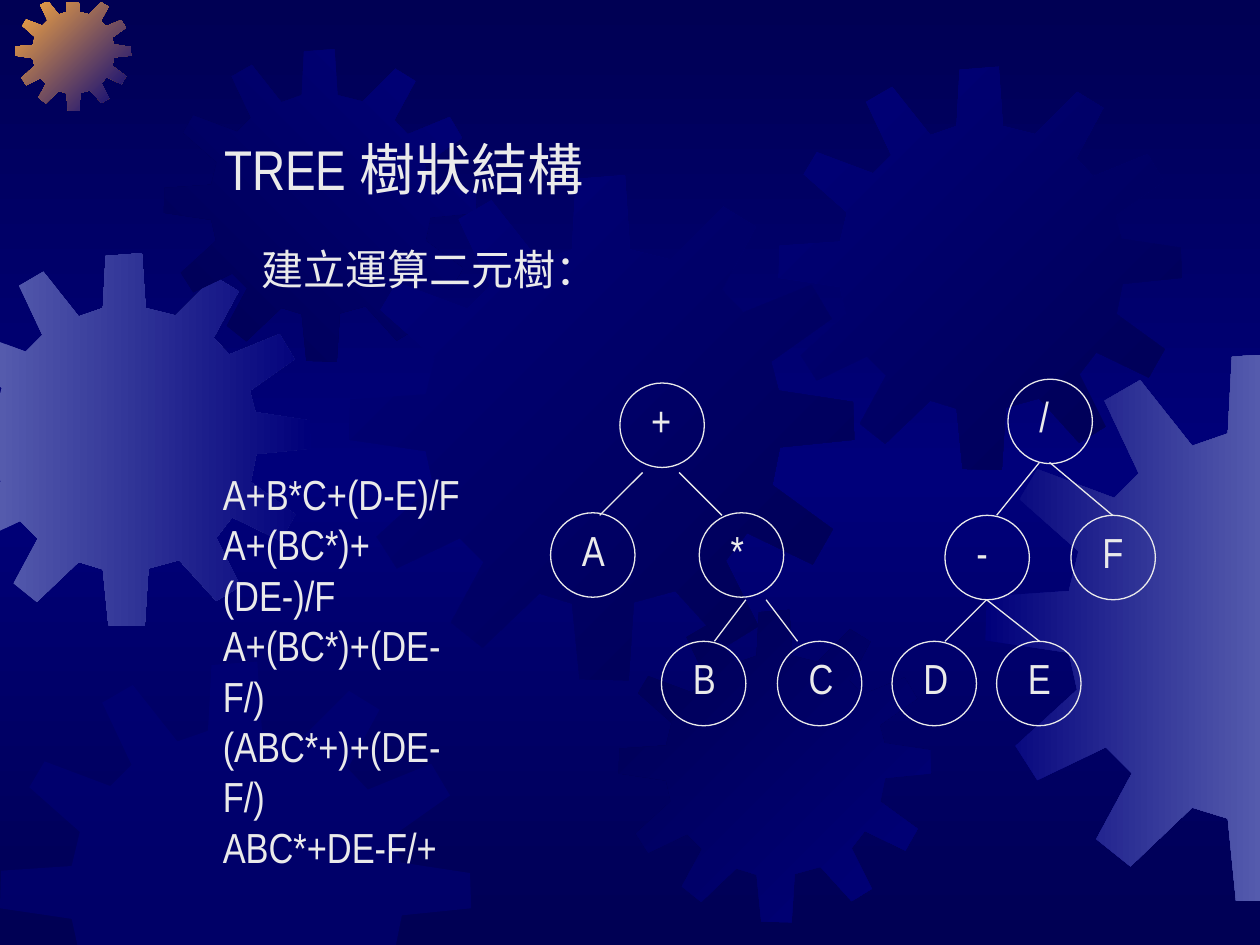
"""Build a slide of two expression trees over a backdrop of gears."""
import copy

import pptx
import pptx.dml.color
import pptx.enum.shapes
import pptx.enum.text
import pptx.oxml
import pptx.oxml.ns
import pptx.util

Inches = pptx.util.Inches
RGBColor = pptx.dml.color.RGBColor

NAVY = RGBColor(0x00, 0x00, 0x54)
BLUE = RGBColor(0x00, 0x00, 0x7A)
LILAC = RGBColor(0x55, 0x5B, 0xAD)
AMBER = RGBColor(0xFC, 0xAB, 0x40)
PALE = RGBColor(0xEA, 0xEA, 0xEA)

SIZE = 0.67
SPAN = 401
TEETH = [
    (255, 67), (223, 59), (219, 0), (180, 3), (177, 59), (151, 68),
    (113, 20), (87, 35), (112, 88), (94, 106), (38, 85), (25, 107),
    (68, 145), (61, 174), (1, 178), (0, 210), (61, 219), (67, 246),
    (22, 287), (38, 312), (88, 288), (107, 307), (81, 355), (106, 375),
    (151, 332), (177, 340), (183, 400), (222, 401), (226, 339), (259, 330),
    (299, 374), (325, 358), (299, 306), (316, 284), (368, 309), (384, 281),
    (336, 246), (342, 216), (401, 210), (400, 180), (341, 171), (335, 148),
    (383, 114), (367, 87), (313, 109), (296, 91), (323, 41), (297, 25),
]
EDGES = [(0, -0.01, 1), (1, 0.02, 1), (0, 10.01, -1), (1, 7.54, -1)]

GEARS = [
    (-0.49, 2.01, 2.96, (LILAC, BLUE), 0),
    (0.12, -0.04, 0.92, (AMBER, BLUE), 45),
    (1.3, 0.39, 2.48, (NAVY, BLUE), 315),
    (2.77, 1.39, 4.01, (BLUE, NAVY), 45),
    (0, 5.25, 3.74, (BLUE,), 0),
    (4.91, 4.84, 2.48, (NAVY, BLUE), 45),
    (6.18, 0.53, 3.2, (BLUE, NAVY), 45),
    (7.82, 2.8, 4.36, (BLUE, LILAC), 0),
]
TEXTS = [
    (1.68, 1.02, 3.16, 0.64, 32, ["TREE 樹狀結構"]),
    (1.67, 3.67, 2.26, 2.1, 24, [
        "A+B*C+(D-E)/F", "A+(BC*)+(DE-)/F", "A+(BC*)+(DE-F/)",
        "(ABC*+)+(DE-F/)", "ABC*+DE-F/+"]),
    (1.98, 1.88, 2.86, 0.5, 24, ["建立運算二元樹："]),
]
NODES = [
    ("D", 7.08, 5.09, 0.39), ("E", 7.91, 5.09, 0.38),
    ("F", 8.5, 4.09, 0.36), ("-", 7.5, 4.09, 0.29), ("/", 8, 3.01, 0.27),
    ("C", 6.17, 5.09, 0.39), ("B", 5.25, 5.09, 0.38),
    ("*", 5.55, 4.07, 0.3), ("A", 4.37, 4.07, 0.38), ("+", 4.92, 3.04, 0.36),
]
LINKS = [
    (7.83, 4.76, 7.5, 5.09), (7.83, 4.76, 8.25, 5.09),
    (8.25, 3.67, 7.91, 4.09), (8.33, 3.67, 8.83, 4.09),
    (5.92, 4.76, 5.67, 5.09), (6.08, 4.76, 6.33, 5.09),
    (5.1, 3.75, 4.76, 4.09), (5.39, 3.75, 5.73, 4.09),
]
FRAME = {
    "word_wrap": False,
    "auto_size": pptx.enum.text.MSO_AUTO_SIZE.SHAPE_TO_FIT_TEXT,
    "margin_left": Inches(0.1), "margin_right": Inches(0.1),
    "margin_top": Inches(0.05), "margin_bottom": Inches(0.05),
}


def apply(item, props):
    """Set each named value on the item."""
    for name, value in props.items():
        setattr(item, name, value)


def blend(fill, tones, angle):
    """Give a fill a gradient with a clockwise angle."""
    fill.gradient()
    fill.gradient_angle = -angle % 360
    for stop, tone in zip(fill.gradient_stops, tones):
        stop.color.rgb = tone


def paint_back(slide):
    """Shade the background from dark to light to dark."""
    blend(slide.background.fill, (NAVY, BLUE), 90)
    stops = slide.element.find(".//" + pptx.oxml.ns.qn("a:gsLst"))
    stops[1].set("pos", "50000")
    last = copy.deepcopy(stops[0])
    last.set("pos", "100000")
    stops.append(last)


def trim(points, axis, bound, sign):
    """Cut an outline along one edge of the slide."""
    kept = []
    for start, end in zip(points[-1:] + points[:-1], points):
        near, far = (sign * (p[axis] - bound) for p in (start, end))
        if near * far < 0:
            part = near / (near - far)
            kept.append(tuple(a + part * (b - a) for a, b in zip(start, end)))
        if far >= 0:
            kept.append(end)
    return kept


def add_gear(slide, left, top, size, tones, angle):
    """Draw one gear, trimmed to the slide."""
    points = [(left + x * size / SPAN, top + y * size / SPAN) for x, y in TEETH]
    for edge in EDGES:
        points = trim(points, *edge)
    points = [(Inches(x), Inches(y)) for x, y in points]
    pen = slide.shapes.build_freeform(*points[0])
    pen.add_line_segments(points[1:])
    gear = pen.convert_to_shape()
    gear.shadow.inherit = False
    gear.line.fill.background()
    if len(tones) > 1:
        blend(gear.fill, tones, angle)
        return
    gear.fill.solid()
    gear.fill.fore_color.rgb = tones[0]
    tint = gear.element.spPr.find(".//" + pptx.oxml.ns.qn("a:srgbClr"))
    pptx.oxml.ns.qn("a:alpha")
    tint.append(pptx.oxml.parse_xml(
        f'<a:alpha {pptx.oxml.ns.nsdecls("a")} val="50000"/>'))


def add_text(shapes, left, top, width, height, size, lines):
    """Add a text box with one paragraph per line."""
    box = shapes.add_textbox(*map(Inches, (left, top, width, height)))
    frame = box.text_frame
    apply(frame, FRAME)
    frame.text = "\n".join(lines)
    for para in frame.paragraphs:
        font = para.runs[0].font
        apply(font, {"name": "Arial Narrow", "size": pptx.util.Pt(size)})
        font.color.rgb = PALE


def style_line(line):
    """Give a line the thin pale look."""
    line.color.rgb = PALE
    line.width = pptx.util.Pt(0.75)


def add_node(slide, label, left, top, width):
    """Add a ring and its label as one group."""
    group = slide.shapes.add_group_shape()
    ring = group.shapes.add_shape(
        pptx.enum.shapes.MSO_SHAPE.OVAL,
        *map(Inches, (left, top, SIZE, SIZE)))
    ring.shadow.inherit = False
    ring.fill.background()
    style_line(ring.line)
    add_text(group.shapes, left + 0.15, top + 0.04, width, 0.5, 24, [label])


def add_link(slide, *ends):
    """Add a straight branch between two nodes."""
    link = slide.shapes.add_connector(
        pptx.enum.shapes.MSO_CONNECTOR.STRAIGHT, *map(Inches, ends))
    style_line(link.line)
    link.element.spPr.append(pptx.oxml.parse_xml(
        f'<a:effectLst {pptx.oxml.ns.nsdecls("a")}/>'))


def main():
    """Build and save the slide."""
    deck = pptx.Presentation()
    apply(deck, {"slide_width": Inches(10), "slide_height": Inches(7.5)})
    slide = deck.slides.add_slide(deck.slide_layouts[6])
    paint_back(slide)
    for gear in GEARS:
        add_gear(slide, *gear)
    for text in TEXTS:
        add_text(slide.shapes, *text)
    for node in NODES:
        add_node(slide, *node)
    for link in LINKS:
        add_link(slide, *link)
    deck.save("out.pptx")


if __name__ == "__main__":
    main()
